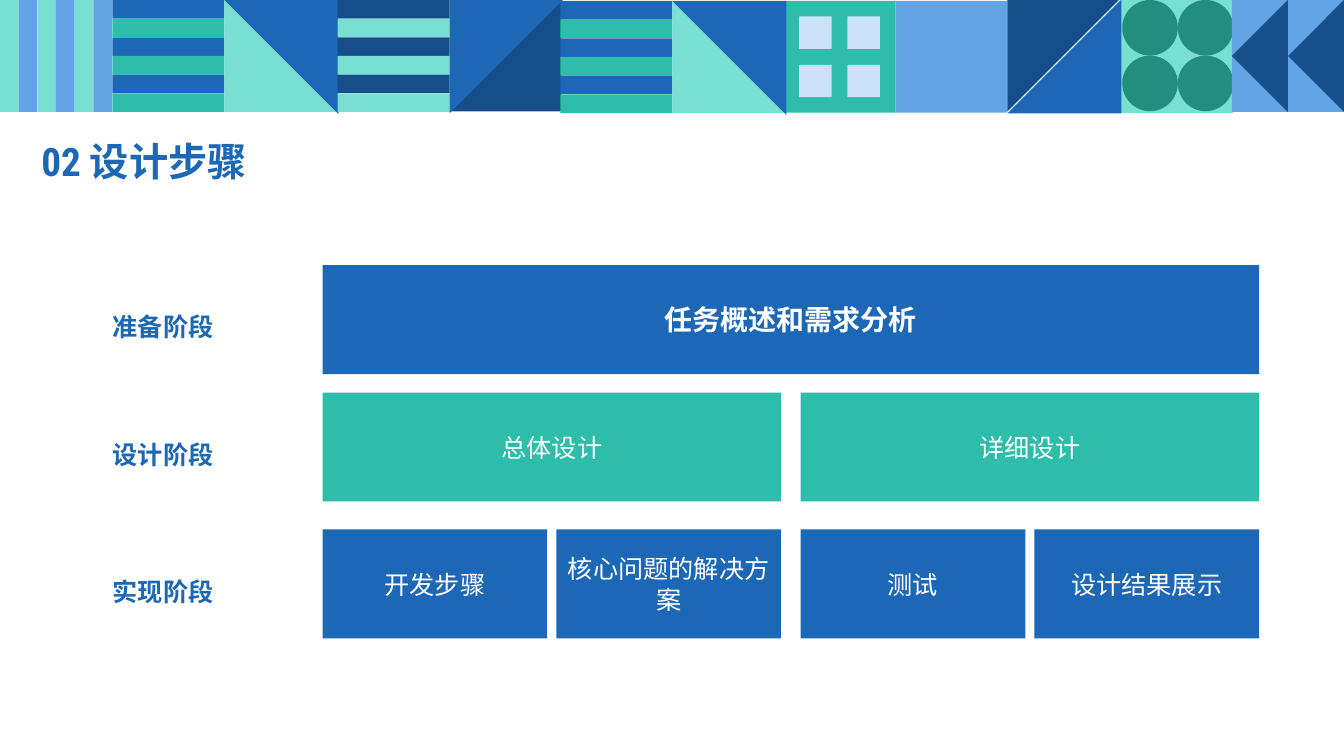
from pptx import Presentation
from pptx.dml.color import RGBColor
from pptx.enum import shapes, text
from pptx.util import Pt

BLUE = RGBColor(0x1C, 0x68, 0xB6)
NAVY = RGBColor(0x15, 0x4E, 0x88)
SKY = RGBColor(0x63, 0xA4, 0xE7)
PALE = RGBColor(0xCB, 0xE1, 0xF7)
TEAL = RGBColor(0x2D, 0xBD, 0xAA)
MINT = RGBColor(0x79, 0xDF, 0xD2)
GREEN = RGBColor(0x22, 0x8E, 0x80)
WHITE = RGBColor(0xFF, 0xFF, 0xFF)

FONT = "Roboto Condensed"
TILE = 80
RECT = shapes.MSO_SHAPE.RECTANGLE
OVAL = shapes.MSO_SHAPE.OVAL
CORNER = shapes.MSO_SHAPE.RIGHT_TRIANGLE
ARROW = shapes.MSO_SHAPE.ISOSCELES_TRIANGLE

# Phase grid
GRID_LEFT, GRID_WIDTH = 230.4, 669
BOX_HEIGHT = 77.8
HALF_GAP, QUARTER_GAP = 14, 6.5
PHASES = [
    ("准备阶段", 189.4, BLUE, ["任务概述和需求分析"]),
    ("设计阶段", 280.4, TEAL, ["总体设计", "详细设计"]),
    ("实现阶段", 378.2, BLUE, ["开发步骤", "核心问题的解决方案", "测试", "设计结果展示"]),
]


def add_block(slide, kind, left, top, width, height, color, rotation=0):
    """Add a plain shape; the box given is the one seen after rotation."""
    w, h = (height, width) if rotation in (90, 270) else (width, height)
    sp = slide.shapes.add_shape(kind, Pt(left + (width - w) / 2),
                                Pt(top + (height - h) / 2), Pt(w), Pt(h))
    sp.rotation = rotation
    sp.shadow.inherit = False
    sp.fill.solid()
    sp.fill.fore_color.rgb = color
    sp.line.fill.background()
    return sp


def write(p, words, size, color, bold=False):
    r = p.add_run()
    r.text = words
    r.font.name = FONT
    r.font.size = Pt(size)
    r.font.bold = bold
    r.font.color.rgb = color


# Banner tiles
def add_stripes(slide, left, top, colors, vertical=False):
    step = TILE / 6
    for i in range(6):
        color = colors[i % 2]
        if vertical:
            add_block(slide, RECT, left + i * step, top, step, TILE, color)
        else:
            add_block(slide, RECT, left, top + i * step, TILE, step, color)


def add_split(slide, left, top, back, front, rotation):
    add_block(slide, CORNER, left, top, TILE, TILE, back, rotation)
    add_block(slide, CORNER, left, top, TILE + 1.4, TILE + 1.4, front,
              (rotation + 180) % 360)


def add_four(slide, kind, left, top, size, pitch, color):
    for i in range(4):
        add_block(slide, kind, left + i % 2 * pitch, top + i // 2 * pitch,
                  size, size, color)


def add_banner(slide):
    x = [i * TILE + 0.3 for i in range(12)]
    add_stripes(slide, 0, 0, (MINT, SKY), vertical=True)
    add_stripes(slide, x[1], 0, (BLUE, TEAL))
    add_split(slide, x[2], 0, MINT, BLUE, 0)
    add_stripes(slide, x[3] + 0.9, 0, (NAVY, MINT))
    # Window and plain tiles
    add_block(slide, RECT, x[7] - 0.6, 0.6, TILE, TILE, TEAL)
    add_four(slide, RECT, 570.8, 11.8, 23.2, 34.5, PALE)
    add_block(slide, RECT, x[8] - 0.7, 0.6, TILE, TILE, SKY)
    # Dots
    add_block(slide, RECT, x[10] + 0.5, 0, TILE, 80.7, MINT)
    add_four(slide, OVAL, 801.6, 0, 39.7, 39.7, GREEN)
    # Diagonals
    add_split(slide, x[9] - 0.7, -0.4, NAVY, BLUE, 90)
    add_split(slide, x[4] + 0.8, -0.4, NAVY, BLUE, 270)
    # Chevrons
    add_block(slide, RECT, x[11] - 0.3, 0, TILE, TILE, SKY)
    for left in (880, 920):
        add_block(slide, ARROW, left, 0, TILE / 2, TILE, NAVY, 270)
    add_stripes(slide, x[5], 0.7, (BLUE, TEAL))
    add_split(slide, x[6], 0.7, MINT, BLUE, 0)


def add_title(slide, words):
    sp = slide.shapes.title
    sp.left, sp.top, sp.width, sp.height = Pt(22.3), Pt(94.3), Pt(276.5), Pt(45.4)
    tf = sp.text_frame
    tf.auto_size = text.MSO_AUTO_SIZE.NONE
    tf.vertical_anchor = text.MSO_ANCHOR.MIDDLE
    p = tf.paragraphs[0]
    p.alignment = text.PP_ALIGN.LEFT
    p.line_spacing = 0.9
    p.space_before = Pt(10)
    write(p, words, 28, BLUE, True)


# Phase rows
def add_label(slide, words, top):
    sp = slide.shapes.add_textbox(Pt(73.4), Pt(top), Pt(86.4), Pt(39.6))
    tf = sp.text_frame
    tf.word_wrap = False
    tf.auto_size = text.MSO_AUTO_SIZE.SHAPE_TO_FIT_TEXT
    p = tf.paragraphs[0]
    p.line_spacing = 1.5
    write(p, words, 18, BLUE, True)


def add_steps(slide, steps, top, color):
    half = (GRID_WIDTH - HALF_GAP) / 2
    quarter = (half - QUARTER_GAP) / 2
    width = {1: GRID_WIDTH, 2: half, 4: quarter}[len(steps)]
    per_half = max(len(steps) // 2, 1)
    for i, step in enumerate(steps):
        left = (GRID_LEFT + i // per_half * (half + HALF_GAP)
                + i % per_half * (quarter + QUARTER_GAP))
        sp = add_block(slide, RECT, left, top, width, BOX_HEIGHT, color)
        tf = sp.text_frame
        tf.word_wrap = True
        tf.vertical_anchor = text.MSO_ANCHOR.MIDDLE
        p = tf.paragraphs[0]
        p.alignment = text.PP_ALIGN.CENTER
        whole_row = len(steps) == 1
        write(p, step, 20 if whole_row else 18, WHITE, whole_row)


def main():
    prs = Presentation()
    prs.slide_width, prs.slide_height = Pt(960), Pt(540)
    slide = prs.slides.add_slide(prs.slide_layouts[5])
    add_banner(slide)
    add_title(slide, "02 设计步骤")
    for label, top, color, steps in PHASES:
        add_steps(slide, steps, top, color)
        add_label(slide, label, top + 18.8)
    prs.save("out.pptx")


if __name__ == "__main__":
    main()
